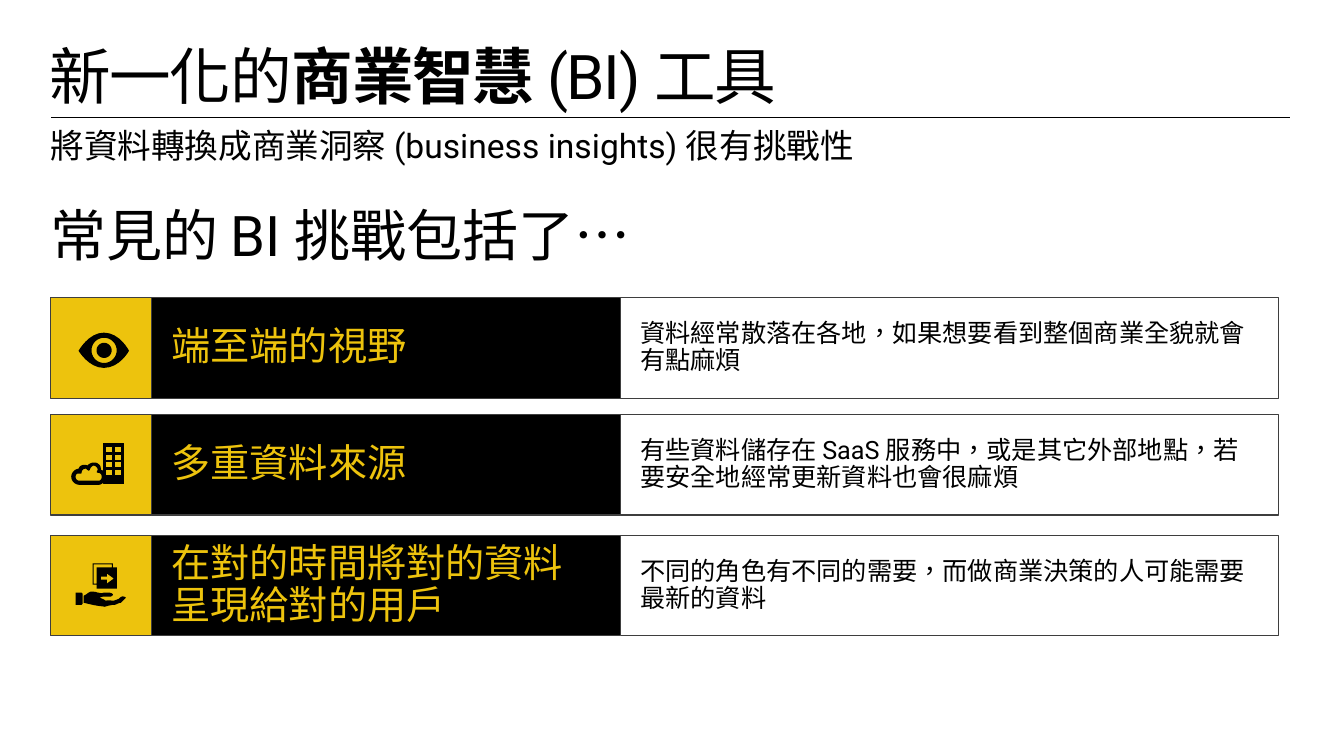
"""Build a slide on common business intelligence challenges."""
import math

import pptx
import pptx.util
from lxml import etree
from pptx.dml.color import RGBColor
from pptx.enum.lang import MSO_LANGUAGE_ID
from pptx.enum.shapes import MSO_CONNECTOR, MSO_SHAPE
from pptx.enum.text import MSO_ANCHOR, MSO_AUTO_SIZE, PP_ALIGN
from pptx.oxml.ns import qn
from pptx.util import Inches

COLORS = {"black": "000000", "white": "FFFFFF", "yellow": "EDC30D", "border": "3E3E3E"}
RGB = {name: RGBColor.from_string(value) for name, value in COLORS.items()}


def write_text(sp, runs, size, color="black", anchor=MSO_ANCHOR.MIDDLE, insets=(0.2, 0.16, 0.2, 0.16)):
    tf = sp.text_frame
    tf.word_wrap = True
    tf.auto_size = MSO_AUTO_SIZE.NONE
    tf.vertical_anchor = anchor
    tf.margin_left, tf.margin_top, tf.margin_right, tf.margin_bottom = map(Inches, insets)
    p = tf.paragraphs[0]
    p.alignment = PP_ALIGN.LEFT
    p.line_spacing = 0.9
    p.space_before = pptx.util.Pt(0)
    p.font.size = pptx.util.Pt(size)
    p.font.name = "Roboto"
    p.font.color.rgb = RGB[color]
    for text in runs:
        r = p.add_run()
        r.text = text
        r.font.language_id = MSO_LANGUAGE_ID.TRADITIONAL_CHINESE
    return p


def draw_icon(s, contours, line_width=0):
    """Draw contours given in hundredths of an inch; six numbers make a Bézier curve."""
    builder = None
    for start, *segments in contours:
        points = [start]
        for seg in segments:
            if len(seg) == 2:
                points.append(seg)
                continue
            x0, y0 = points[-1]
            x1, y1, x2, y2, x3, y3 = seg
            for t in (0.125 * i for i in range(1, 9)):
                u = 1 - t
                a, b, c, d = u**3, 3 * u * u * t, 3 * u * t * t, t**3
                points.append((a * x0 + b * x1 + c * x2 + d * x3, a * y0 + b * y1 + c * y2 + d * y3))
        first, *rest = [(Inches(x / 100), Inches(y / 100)) for x, y in points]
        if builder is None:
            builder = s.shapes.build_freeform(*first)
        else:
            builder.move_to(*first)
        builder.add_line_segments(rest, close=True)
    sp = builder.convert_to_shape()
    sp.shadow.inherit = False
    sp.fill.solid()
    sp.fill.fore_color.rgb = RGB["black"]
    if line_width:
        sp.line.color.rgb = RGB["black"]
        sp.line.width = pptx.util.Pt(line_width)
    else:
        sp.line.fill.background()


prs = pptx.Presentation()
prs.slide_width, prs.slide_height = Inches(13.33), Inches(7.5)
s = prs.slides.add_slide(prs.slide_layouts[5])

rule = s.shapes.add_connector(MSO_CONNECTOR.STRAIGHT, Inches(0.51), Inches(1.17), Inches(12.79), Inches(1.17))
rule.line.color.rgb = RGB["black"]
rule.line.width = pptx.util.Pt(0.75)
etree.SubElement(rule._element.spPr, qn("a:effectLst"))

title = s.shapes.title
title.left, title.top, title.width, title.height = map(Inches, (0.29, 0.39, 12.75, 0.79))
p = write_text(title, ["新一化的", "商業智慧 ", "(BI) 工具"], 44, insets=(0.2, 0.1, 0.16, 0.1))
p.runs[1].font.bold = True
for r in p.runs:
    r.font._element.set("spc", "-100")

for text, size, top, height, anchor in [
    ("將資料轉換成商業洞察 (business insights) 很有挑戰性", 24, 1.28, 0.37, MSO_ANCHOR.MIDDLE),
    ("常見的 BI 挑戰包括了…", 40, 1.91, 0.9, MSO_ANCHOR.TOP),
]:
    sp = s.shapes.add_textbox(Inches(0.3), Inches(top), Inches(12.75), Inches(height))
    write_text(sp, [text], size, anchor=anchor)

challenges = [
    (2.95, "端至端的視野", "資料經常散落在各地，如果想要看到整個商業全貌就會有點麻煩"),
    (4.11, "多重資料來源", "有些資料儲存在 SaaS 服務中，或是其它外部地點，若要安全地經常更新資料也會很麻煩"),
    (5.31, "在對的時間將對的資料呈現給對的用戶", "不同的角色有不同的需要，而做商業決策的人可能需要最新的資料"),
]
for top, heading, detail in challenges:
    for left, width, fill, text, size, color in [
        (1.5, 4.65, "black", heading, 28, "yellow"),
        (6.15, 6.53, "white", detail, 18, "black"),
        (0.5, 1, "yellow", "", 18, "black"),
    ]:
        sp = s.shapes.add_shape(MSO_SHAPE.RECTANGLE, Inches(left), Inches(top), Inches(width), Inches(1))
        sp.shadow.inherit = False
        sp.fill.solid()
        sp.fill.fore_color.rgb = RGB[fill]
        sp.line.color.rgb = RGB["border"]
        sp.line.width = pptx.util.Pt(0.75)
        if text:
            write_text(sp, [text], size, color)

eye = [[(103, 330), (88, 330, 78, 348, 78, 348), (78, 348, 88, 365, 103, 365),
        (119, 365, 128, 348, 128, 348), (128, 348, 119, 330, 103, 330)]]
for radius in (12.5, 7.5):
    angles = [math.radians(10 * i) for i in range(36)]
    eye.append([(103.3 + radius * math.cos(a), 347.6 + radius * math.sin(a)) for a in angles])
draw_icon(s, eye)

building = [[(103, 440), (103, 480), (123, 480), (123, 440)]]
for x in (105, 113.5):
    for y in (443, 450.5, 458, 466):
        building.append([(x, y), (x + 7, y), (x + 7, y + 6), (x, y + 6)])
draw_icon(s, building, 0.75)

cloud = [
    [(102, 468), (101, 467.5, 100, 467, 99, 467), (99, 464, 99, 463, 98, 462),
     (96, 460, 95, 460, 93, 460), (91, 460, 89, 461, 87, 463), (83, 461, 79, 463, 79, 466),
     (77, 466, 75, 467, 74, 468), (71, 471, 71, 475, 74, 478), (75, 479, 77, 480, 79, 480),
     (98, 480), (99, 480, 101, 479, 102, 478), (105, 475, 105, 471, 102, 468)],
    [(98, 478), (79, 478), (76, 478, 74, 476, 74, 473), (74, 470, 76, 468, 80, 469),
     (80, 466, 82, 464, 85, 464), (86, 464, 87, 465, 88, 466), (89, 463, 91, 461, 93, 461),
     (96, 461, 98, 464, 98, 466), (98, 467, 97, 468, 97, 468), (100, 468, 102, 470, 102, 473),
     (102, 476, 100, 478, 98, 478)],
]
draw_icon(s, cloud, 1.5)

hand_with_files = [
    [(125, 593), (123, 595), (120, 598), (118, 598, 115, 600, 114, 600), (111, 600, 107, 601, 104, 602),
     (99, 601, 99, 602, 83, 598), (83, 591), (86, 590, 87, 588, 90, 587), (93, 587, 95, 587, 97, 588),
     (99, 588, 100, 589, 103, 588), (105, 588, 106, 588, 108, 588), (110, 588, 112, 589, 112, 590),
     (112, 591, 110, 592, 109, 592), (106, 592, 107, 592, 104, 592), (101, 592, 101, 592, 99, 593),
     (101, 594, 102, 594, 105, 596), (108, 595, 110, 596, 113, 596), (115, 595, 116, 595, 118, 594),
     (119, 593, 121, 591, 123, 592), (124, 592, 125, 593, 125, 593)],
    [(75, 588), (81, 588), (82, 589), (82, 599), (81, 600), (75, 600)],
    [(116, 563), (116, 584), (96, 584), (96, 580), (92, 580), (92, 559), (112, 559), (112, 563)],
    [(96, 579), (96, 563), (111, 563), (111, 560), (93, 560), (93, 579)],
    [(113, 574), (106, 569), (106, 572), (100, 572), (100, 575), (106, 575), (106, 579)],
]
draw_icon(s, hand_with_files)

prs.save("out.pptx")
